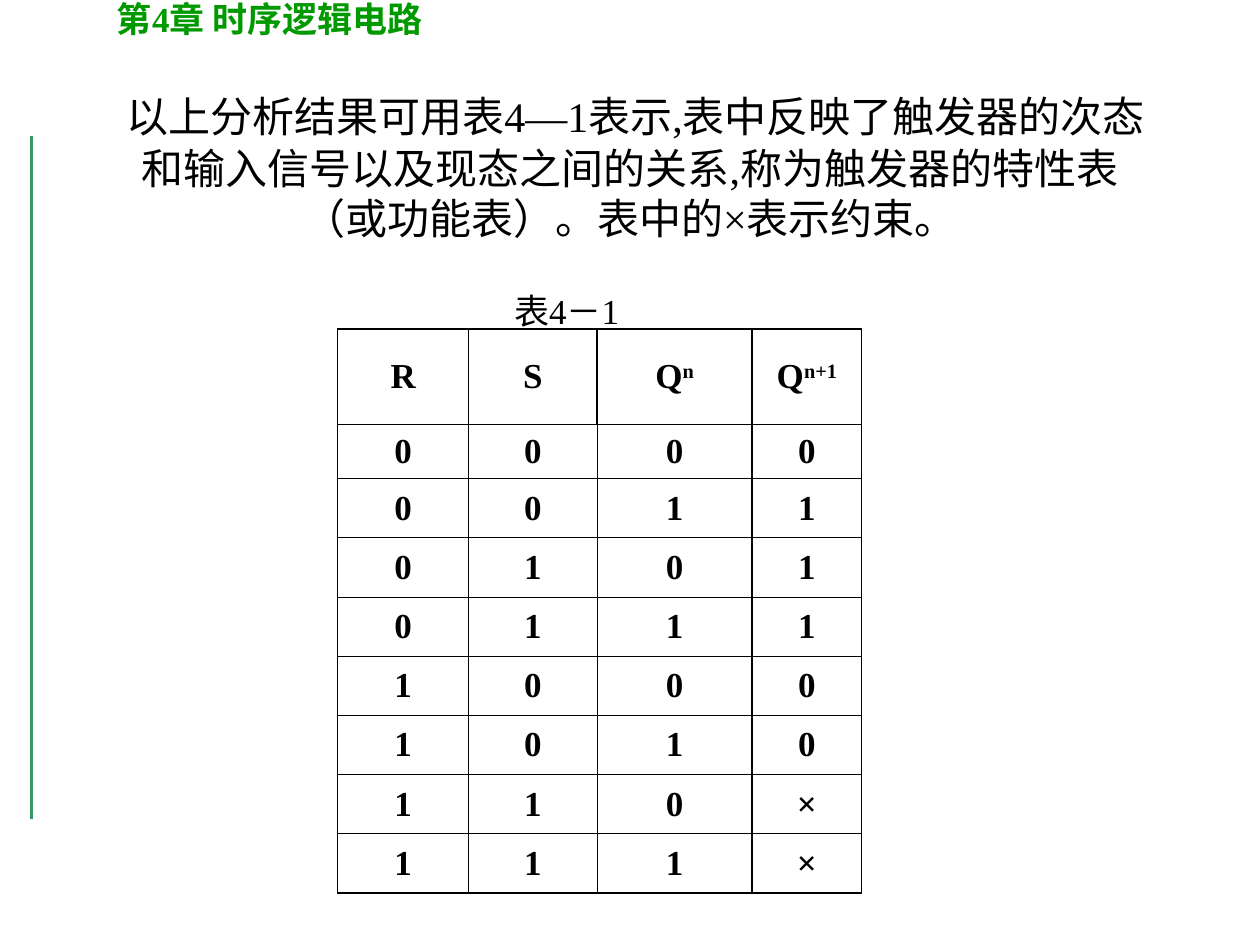
from lxml import etree
from pptx import Presentation
from pptx.dml.color import RGBColor
from pptx.enum.shapes import MSO_CONNECTOR
from pptx.enum.text import MSO_ANCHOR, MSO_AUTO_SIZE, PP_ALIGN
from pptx.oxml.ns import qn
from pptx.util import Inches, Pt

STRAIGHT = MSO_CONNECTOR.STRAIGHT
MIDDLE, TOP = MSO_ANCHOR.MIDDLE, MSO_ANCHOR.TOP
LEFT, CENTER = PP_ALIGN.LEFT, PP_ALIGN.CENTER
NO_FIT = MSO_AUTO_SIZE.NONE

COLORS = {"text": "000000", "heading": "009900", "rule": "339966"}
FONT = "Times New Roman"
THIN, THICK = Pt(0.75), Pt(1)

COLUMN_WIDTHS = [1.04, 1.02, 1.23, 0.87]
ROW_HEIGHTS = [0.76, 0.43] + [0.47] * 7
HEADERS = [("R", ""), ("S", ""), ("Q", "n"), ("Q", "n+1")]
NEXT_STATES = "011100××"  # in order of the inputs R, S, Q counted in binary


class SlideBuilder:
    """Holds the style and the current slide."""

    def __init__(self, slide):
        self.slide = slide

    def add_run(self, paragraph, text, size, color="text", bold=False, superscript=False):
        run = paragraph.add_run()
        run.text = text
        run.font.color.rgb = RGBColor.from_string(COLORS[color])
        for name, value in {"name": FONT, "size": Pt(size), "bold": bold}.items():
            setattr(run.font, name, value)
        if superscript:
            run.font._element.set("baseline", "30000")

    def place_text(self, shape, box, runs, anchor=TOP, **paragraph_format):
        """Position a text shape and fill it with one paragraph of runs."""
        for name, value in zip(("left", "top", "width", "height"), box):
            setattr(shape, name, Inches(value))
        frame = shape.text_frame
        settings = {"word_wrap": True, "auto_size": NO_FIT, "vertical_anchor": anchor}
        for name, value in settings.items():
            setattr(frame, name, value)
        paragraph = frame.paragraphs[0]
        for name, value in paragraph_format.items():
            setattr(paragraph, name, value)
        for run in runs:
            self.add_run(paragraph, **run)
        return paragraph

    def title(self, box, runs):
        self.place_text(self.slide.shapes.title, box, runs, MIDDLE, alignment=CENTER)

    def body(self, box, runs, **paragraph_format):
        paragraph = self.place_text(self.slide.placeholders[1], box, runs, **paragraph_format)
        properties = paragraph._p.get_or_add_pPr()
        properties.set("marL", "0")
        properties.set("indent", "0")
        etree.SubElement(properties, qn("a:buNone"))

    def text_box(self, box, runs, **paragraph_format):
        shape = self.slide.shapes.add_textbox(*map(Inches, box))
        self.place_text(shape, box, runs, **paragraph_format)

    def line(self, start, end, color, width):
        connector = self.slide.shapes.add_connector(STRAIGHT, *map(Inches, start + end))
        connector.line.color.rgb = RGBColor.from_string(COLORS[color])
        connector.line.width = Pt(width)
        etree.SubElement(connector._element.spPr, qn("a:effectLst"))

    def cell_borders(self, cell, widths):
        properties = cell._tc.get_or_add_tcPr()
        for index, (side, width) in enumerate(widths.items()):
            border = etree.Element(qn(f"a:ln{side}"), w=str(int(width)))
            fill = etree.SubElement(border, qn("a:solidFill"))
            etree.SubElement(fill, qn("a:srgbClr"), val=COLORS["text"])
            properties.insert(index, border)

    def table(self, left, top, rows):
        box = (left, top, sum(COLUMN_WIDTHS), sum(ROW_HEIGHTS))
        table = self.slide.shapes.add_table(
            len(rows), len(COLUMN_WIDTHS), *map(Inches, box)).table
        table.first_row = table.horz_banding = False
        for column, width in zip(table.columns, COLUMN_WIDTHS):
            column.width = Inches(width)
        for row, height in zip(table.rows, ROW_HEIGHTS):
            row.height = Inches(height)

        # Thick lines frame the table, the header row and the last column
        thick_rows = {0, 1, len(rows)}
        thick_columns = {0, len(COLUMN_WIDTHS) - 1, len(COLUMN_WIDTHS)}
        for i, row in enumerate(rows):
            for j, (text, exponent) in enumerate(row):
                cell = table.cell(i, j)
                cell.vertical_anchor = MIDDLE
                cell.fill.background()
                paragraph = cell.text_frame.paragraphs[0]
                paragraph.alignment = CENTER
                self.add_run(paragraph, text, 20, bold=True)
                if exponent:
                    self.add_run(paragraph, exponent, 20, bold=True, superscript=True)
                self.cell_borders(cell, {
                    "L": THICK if i == 0 or j in thick_columns else THIN,
                    "R": THICK if i == 0 or j + 1 in thick_columns else THIN,
                    "T": THICK if i in thick_rows else THIN,
                    "B": THICK if i + 1 in thick_rows else THIN,
                })


def main():
    presentation = Presentation()
    presentation.slide_width, presentation.slide_height = Inches(10), Inches(7.5)
    builder = SlideBuilder(presentation.slides.add_slide(presentation.slide_layouts[1]))

    # Chapter heading and side rule
    builder.line((0.25, 1.08), (0.25, 6.5), "rule", 2.25)
    builder.text_box((0.83, -0.07, 5.75, 0.43), [
        {"text": "第4章 时序逻辑电路", "size": 20, "color": "heading", "bold": True}])

    # Explanation
    builder.title((0.75, 0.67, 8.5, 1.25), [
        {"text": " ", "size": 28, "bold": True},
        {"text": "以上分析结果可用表4―1表示,表中反映了触发器的次态和输入信号以及现态之间的关系,"
                 "称为触发器的特性表（或功能表）。表中的×表示约束。", "size": 24}])

    # Characteristic table with its caption
    states = [[(symbol, "") for symbol in f"{number:03b}{next_state}"]
              for number, next_state in enumerate(NEXT_STATES)]
    builder.table(2.68, 2.61, [HEADERS] + states)
    builder.body((3.98, 2.18, 1.42, 0.52), [{"text": "表4－1", "size": 20}],
                 alignment=LEFT, line_spacing=1.2, space_before=Pt(4))

    presentation.save("out.pptx")


if __name__ == "__main__":
    main()
